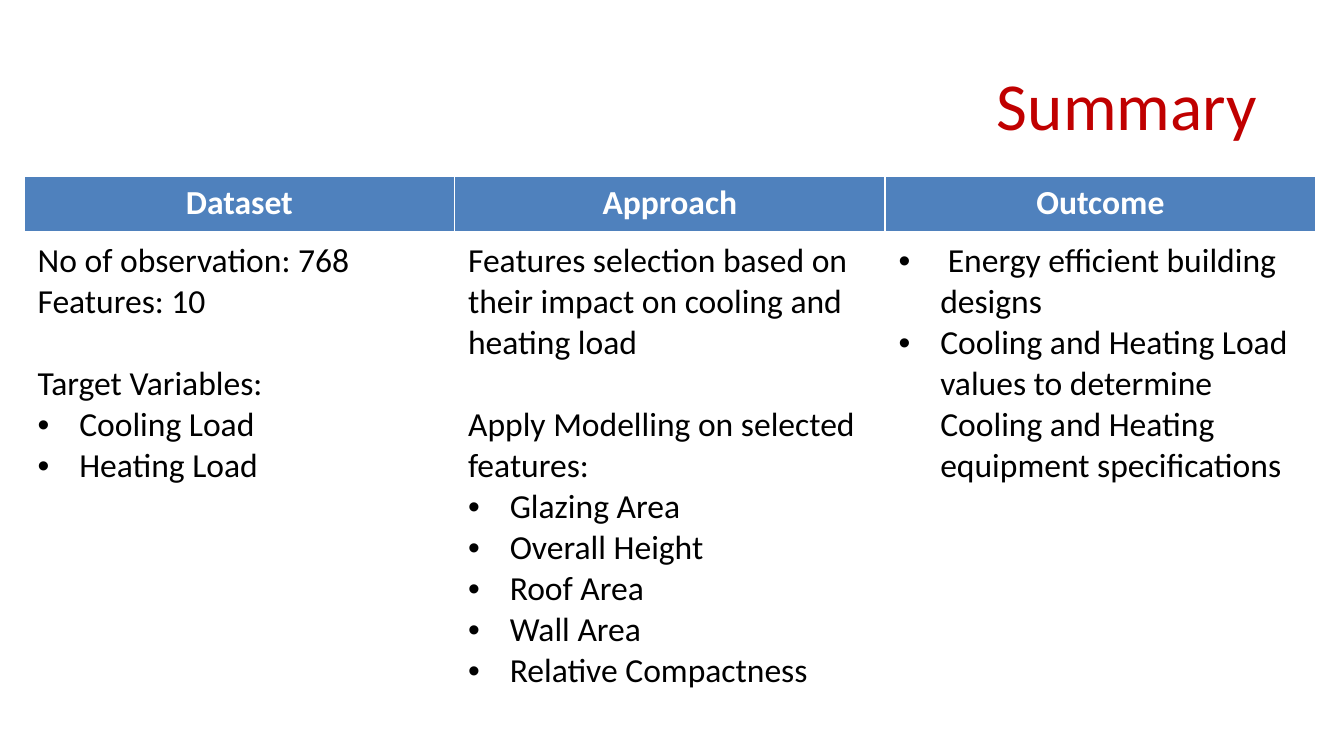
from lxml.etree import SubElement
from pptx import Presentation
from pptx.dml.color import RGBColor
from pptx.enum.text import MSO_ANCHOR, PP_ALIGN
from pptx.oxml.ns import qn
from pptx.util import Inches, Pt

COLORS = {"title": "C00000", "header": "4F81BD", "white": "FFFFFF", "body": "000000"}
HEADERS = ["Dataset", "Approach", "Outcome"]
# Each paragraph is (kind, text); a "section" starts after one line of space.
BODIES = [
    [("plain", "No of observation: 768"), ("plain", "Features: 10"),
     ("section", "Target Variables:"),
     ("bullet", "Cooling Load"), ("bullet", "Heating Load")],
    [("plain", "Features selection based on their impact on cooling and heating load"),
     ("section", "Apply Modelling on selected features:"),
     ("bullet", "Glazing Area"), ("bullet", "Overall Height"),
     ("bullet", "Roof Area"), ("bullet", "Wall Area"),
     ("bullet", "Relative Compactness")],
    [("bullet", " Energy efficient building designs"),
     ("bullet", "Cooling and Heating Load values to determine "
                "Cooling and Heating equipment specifications")],
]


class SlideBuilder:
    """Holds the style and the current slide."""

    font = "Calibri"
    text_size = 18
    line_height = 22
    indent = Inches(0.31)

    def __init__(self, slide):
        """Keep the slide to draw on."""
        self.slide = slide

    def format_runs(self, paragraph, size, color, bold=False):
        """Apply font, size and colour to every run of a paragraph."""
        for run in paragraph.runs:
            run.font.name = self.font
            run.font.size = Pt(size)
            run.font.bold = bold
            run.font.color.rgb = RGBColor.from_string(COLORS[color])

    def add_title(self, text, left, top, width, height):
        """Add the right-aligned slide title."""
        shape = self.slide.shapes.add_textbox(
            Inches(left), Inches(top), Inches(width), Inches(height))
        text_frame = shape.text_frame
        text_frame.word_wrap = True
        text_frame.vertical_anchor = MSO_ANCHOR.MIDDLE
        text_frame.text = text
        paragraph = text_frame.paragraphs[0]
        paragraph.alignment = PP_ALIGN.RIGHT
        self.format_runs(paragraph, 36, "title")

    def add_bullet(self, paragraph):
        """Give a paragraph a hanging round bullet."""
        properties = paragraph._p.get_or_add_pPr()
        properties.set("marL", str(self.indent))
        properties.set("indent", str(-self.indent))
        SubElement(properties, qn("a:buFont"), typeface="Arial")
        SubElement(properties, qn("a:buChar"), char="•")

    def add_borders(self, cell, bottom_width=1):
        """Draw white borders around a cell."""
        properties = cell._tc.get_or_add_tcPr()
        widths = {"lnL": 1, "lnR": 1, "lnT": 1, "lnB": bottom_width}
        for side, width in widths.items():
            line = SubElement(properties, qn(f"a:{side}"), w=str(Pt(width)))
            fill = SubElement(line, qn("a:solidFill"))
            SubElement(fill, qn("a:srgbClr"), val=COLORS["white"])

    def fill_header(self, cell, text):
        """Write and colour a header cell."""
        self.add_borders(cell, bottom_width=3)
        cell.fill.solid()
        cell.fill.fore_color.rgb = RGBColor.from_string(COLORS["header"])
        cell.text_frame.text = text
        paragraph = cell.text_frame.paragraphs[0]
        paragraph.alignment = PP_ALIGN.CENTER
        self.format_runs(paragraph, self.text_size, "white", bold=True)

    def fill_body(self, cell, items):
        """Write the paragraphs of a body cell."""
        self.add_borders(cell)
        cell.fill.background()
        text_frame = cell.text_frame
        text_frame.text = "\n".join(text for kind, text in items)
        for paragraph, (kind, text) in zip(text_frame.paragraphs, items):
            self.format_runs(paragraph, self.text_size, "body")
            if kind == "section":
                paragraph.space_before = Pt(self.line_height)
            elif kind == "bullet":
                self.add_bullet(paragraph)

    def add_table(self, headers, bodies, left, top, width, row_heights):
        """Add a table with one header row and one body row."""
        table = self.slide.shapes.add_table(
            len(row_heights), len(headers), Inches(left), Inches(top),
            Inches(width), Inches(sum(row_heights))).table
        table.horz_banding = False
        for row, height in zip(table.rows, row_heights):
            row.height = Inches(height)
        for column, (header, items) in enumerate(zip(headers, bodies)):
            self.fill_header(table.cell(0, column), header)
            self.fill_body(table.cell(1, column), items)


def main():
    """Build and save the summary slide."""
    presentation = Presentation()
    presentation.slide_width = Inches(10)
    presentation.slide_height = Inches(10) * 9 // 16
    slide = presentation.slides.add_slide(presentation.slide_layouts[6])
    builder = SlideBuilder(slide)
    builder.add_title("Summary", 0.6, 0.35, 8.85, 0.84)
    builder.add_table(HEADERS, BODIES, 0.18, 1.31, 9.61, [0.43, 3.7])
    presentation.save("out.pptx")


main()
